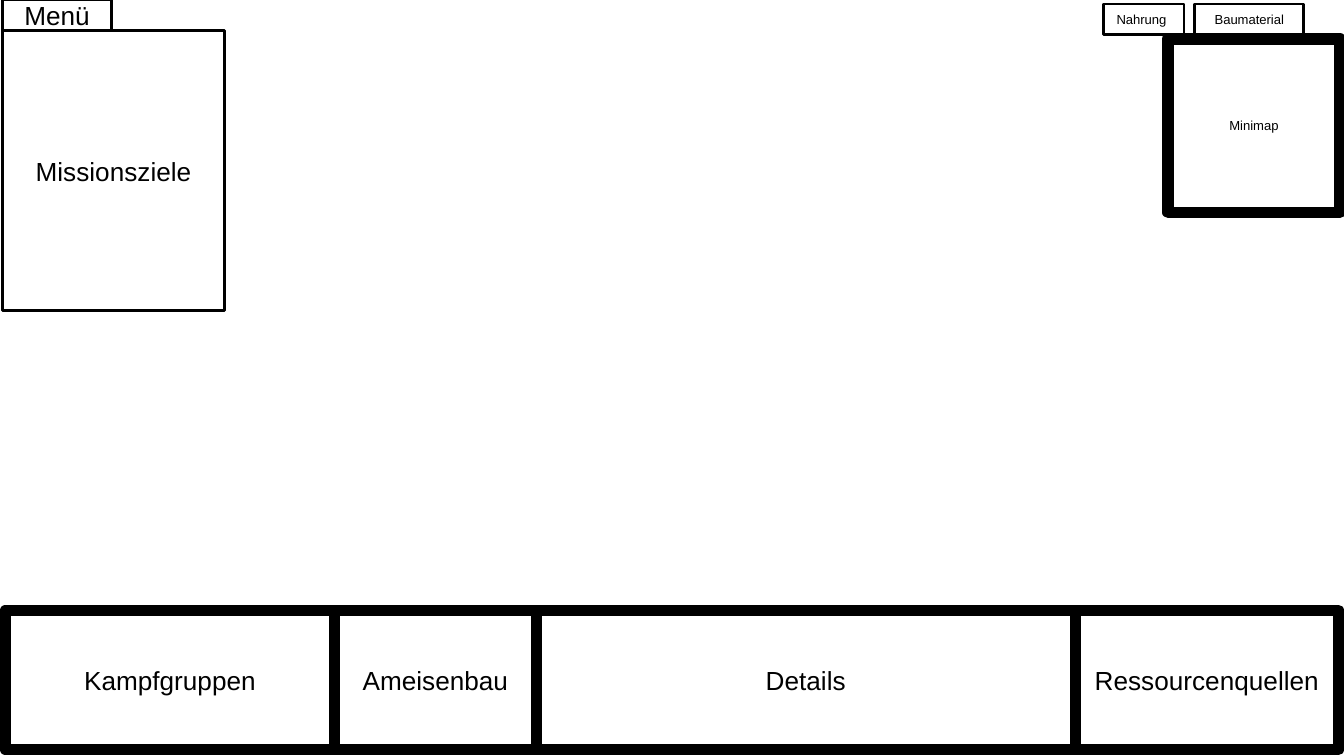
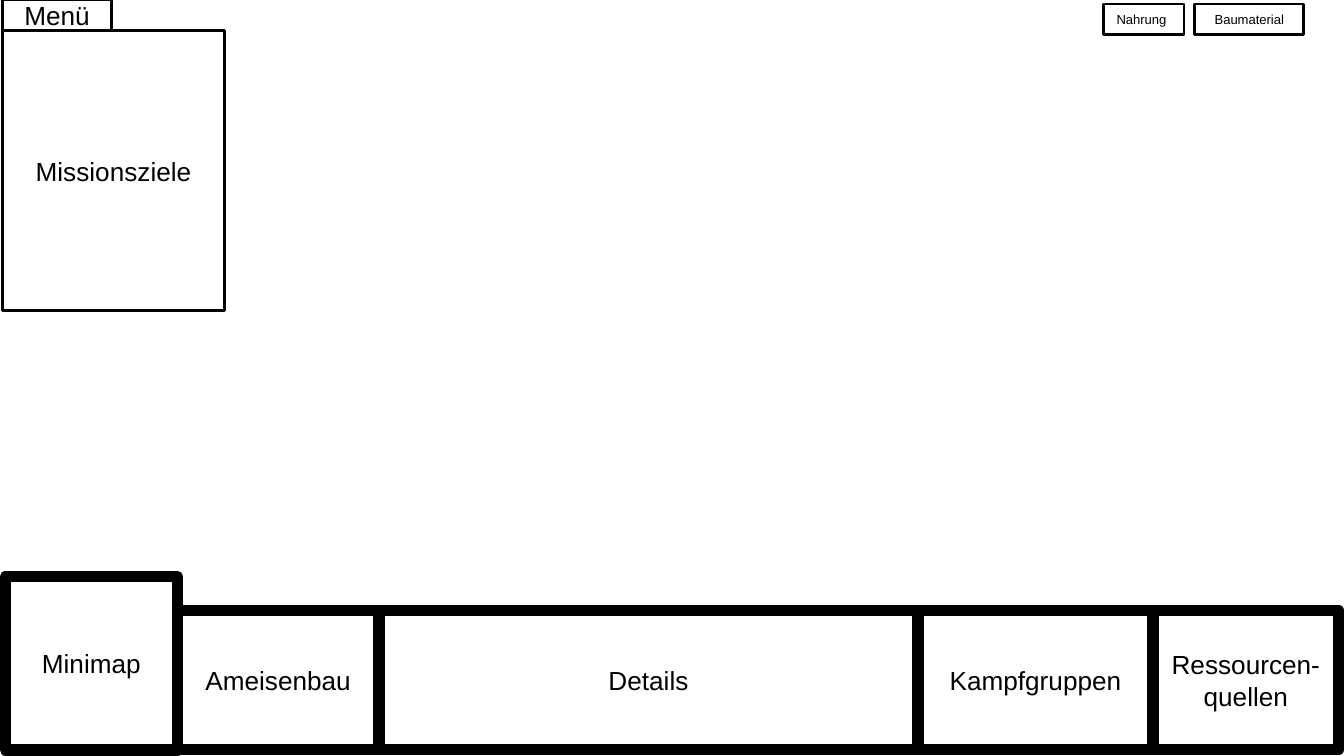
from pptx import Presentation
from pptx.dml.color import RGBColor
from pptx.enum.shapes import MSO_SHAPE
from pptx.enum.text import MSO_ANCHOR, PP_ALIGN
from pptx.oxml.ns import qn
from pptx.util import Inches, Pt
from lxml.etree import SubElement

INK = "000000"
PAPER = "FFFFFF"
FONT = "Arial"
LARGE, SMALL = 14, 7
THICK, THIN = 6, 1.5
BAR_BOX = (0.04, 4.54, 1.04)  # left, top, height
MISSION_BOX = (0.02, 0, 1.65, 2.31)
RESOURCE_BOX = (8.21, 0.03, 1.49, 0.23)
MINIMAP_SIZE = (1.28, 1.29)


def color(hex_string):
    return RGBColor.from_string(hex_string)


def add_panel(slide, label, box, size=LARGE, border=THIN, align=PP_ALIGN.CENTER):
    """Draw one outlined panel of the interface with its label."""
    shape = slide.shapes.add_shape(MSO_SHAPE.RECTANGLE, *map(Inches, box))
    shape.shadow.inherit = False
    shape.fill.background()
    shape.line.color.rgb = color(INK)
    shape.line.width = Pt(border)
    SubElement(shape.line._get_or_add_ln(), qn("a:round"))

    text_frame = shape.text_frame
    text_frame.text = label
    text_frame.word_wrap = True
    text_frame.vertical_anchor = MSO_ANCHOR.MIDDLE
    text_frame.margin_left = text_frame.margin_right = Inches(0.1)
    text_frame.margin_top = text_frame.margin_bottom = Inches(0.1)
    paragraph = text_frame.paragraphs[0]
    paragraph.alignment = align
    for run in paragraph.runs:
        run.font.name = FONT
        run.font.size = Pt(size)
        run.font.color.rgb = color(INK)


def add_command_bar(slide, box, panels):
    """Place thick-framed panels side by side along the bottom."""
    left, top, height = box
    for label, width in panels:
        add_panel(slide, label, (left, top, width, height), border=THICK)
        left += width


def add_mission_area(slide, box):
    """Menu tab sitting on top of the mission goals."""
    left, top, width, height = box
    tab_width, tab_height = 0.81, 0.23
    add_panel(slide, "Missionsziele",
              (left, top + tab_height, width, height - tab_height))
    add_panel(slide, "Menü", (left, top, tab_width, tab_height))


def add_resource_counters(slide, box):
    """Two counters at the left and right ends of the box."""
    left, top, width, height = box
    food_width, material_width = 0.6, 0.81
    add_panel(slide, "Nahrung", (left, top, food_width, height),
              size=SMALL, align=PP_ALIGN.LEFT)
    add_panel(slide, "Baumaterial",
              (left + width - material_width, top, material_width, height), size=SMALL)


def add_layout_slide(presentation, bar_left, panels, minimap_corner, minimap_text_size):
    slide = presentation.slides.add_slide(presentation.slide_layouts[6])
    slide.background.fill.solid()
    slide.background.fill.fore_color.rgb = color(PAPER)
    add_command_bar(slide, (bar_left, *BAR_BOX[1:]), panels)
    add_mission_area(slide, MISSION_BOX)
    add_resource_counters(slide, RESOURCE_BOX)
    add_panel(slide, "Minimap", (*minimap_corner, *MINIMAP_SIZE),
              size=minimap_text_size, border=THICK)


def main():
    # Widescreen 16:9
    presentation = Presentation()
    presentation.slide_width = Inches(10)
    presentation.slide_height = Inches(10 * 9 / 16)

    bar_left, bar_top, bar_height = BAR_BOX
    minimap_width, minimap_height = MINIMAP_SIZE

    # Minimap in the top right corner
    add_layout_slide(
        presentation, bar_left,
        [("Kampfgruppen", 2.45), ("Ameisenbau", 1.5),
         ("Details", 4.01), ("Ressourcenquellen", 1.96)],
        (8.69, 0.29), SMALL)

    # Minimap at the left end of the command bar, aligned at the bottom
    add_layout_slide(
        presentation, bar_left + minimap_width,
        [("Ameisenbau", 1.5), ("Details", 4.01),
         ("Kampfgruppen", 1.75), ("Ressourcen-quellen", 1.38)],
        (bar_left, bar_top + bar_height - minimap_height), LARGE)

    presentation.save("out.pptx")


if __name__ == "__main__":
    main()
